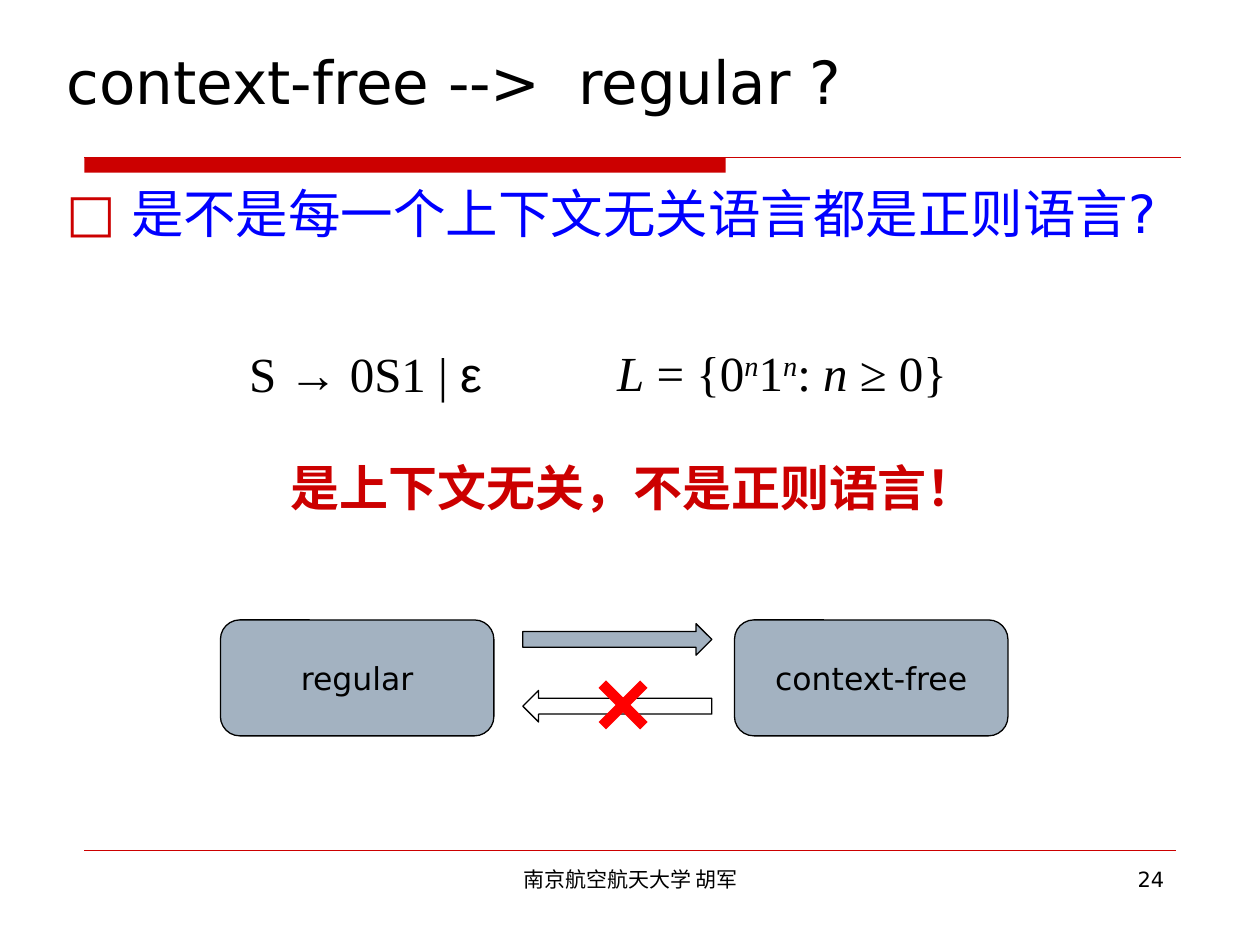
"""Build a slide asking whether every context-free language is regular."""
from lxml.etree import SubElement
from pptx import Presentation
from pptx.dml.color import RGBColor
from pptx.enum.shapes import MSO_CONNECTOR, MSO_SHAPE
from pptx.enum.text import MSO_ANCHOR, MSO_AUTO_SIZE, PP_ALIGN
from pptx.oxml.ns import qn
from pptx.util import Inches, Pt

COLORS = {"black": "000000", "red": "CC0000", "blue": "0000FF", "cross": "FF0000", "steel": "A3B2C1"}
SANS, SERIF = "DejaVu Sans", "Times New Roman"


class SlideBuilder:
    def __init__(self, page):
        self.page = page
        self.style = {"name": SANS, "size": Pt(18), "color": "black"}

    def color(self, name):
        return RGBColor.from_string(COLORS[name])

    def place(self, box, left, top, width, height):
        for name, value in zip(("left", "top", "width", "height"), (left, top, width, height)):
            setattr(box, name, Inches(value))

    def fill_text(self, box, spans, align=PP_ALIGN.LEFT, anchor=MSO_ANCHOR.TOP, wrap=True, **format_values):
        frame = box.text_frame
        frame.auto_size = MSO_AUTO_SIZE.NONE
        frame.word_wrap = wrap
        frame.vertical_anchor = anchor
        para = frame.paragraphs[0]
        para.alignment = align
        para.space_before = Pt(0)
        for text, changes in spans:
            values = {**self.style, **format_values, **changes}
            span = para.add_run()
            span.text = text
            span.font.color.rgb = self.color(values.pop("color"))
            baseline = values.pop("baseline", None)
            for name, value in values.items():
                setattr(span.font, name, value)
            if baseline:
                span.font._element.set("baseline", str(baseline))

    def title(self, text, area):
        box = self.page.shapes.title
        self.place(box, *area)
        self.fill_text(box, [(text, {})], anchor=MSO_ANCHOR.MIDDLE, size=Pt(34))

    def bullet(self, text, area, indent):
        box = self.page.placeholders[1]
        self.place(box, *area)
        properties = box.text_frame.paragraphs[0]._p.get_or_add_pPr()
        properties.set("marL", str(Inches(indent)))
        properties.set("indent", str(-Inches(indent)))
        bullet_color = SubElement(properties, qn("a:buClr"))
        SubElement(bullet_color, qn("a:srgbClr"), val=COLORS["red"])
        SubElement(properties, qn("a:buFont"), typeface=SANS)
        SubElement(properties, qn("a:buChar"), char="□")
        self.fill_text(box, [(text, {})], size=Pt(30), color="blue")

    def text(self, spans, area, **options):
        box = self.page.shapes.add_textbox(*map(Inches, area))
        self.fill_text(box, spans, **options)

    def shape(self, kind, area, fill=None, line="black", label=None):
        box = self.page.shapes.add_shape(kind, *map(Inches, area))
        box.shadow.inherit = False
        for paint, name in ((box.fill, fill), (box.line.fill, line)):
            if name:
                paint.solid()
                paint.fore_color.rgb = self.color(name)
            else:
                paint.background()
        box.line.width = Pt(0.75)
        if label:
            self.fill_text(box, [(label, {})], PP_ALIGN.CENTER, MSO_ANCHOR.MIDDLE, False)

    def line(self, start, end, color, width):
        line = self.page.shapes.add_connector(MSO_CONNECTOR.STRAIGHT, *map(Inches, start + end))
        line.line.color.rgb = self.color(color)
        line.line.width = Pt(width)
        SubElement(line._element.spPr, qn("a:effectLst"))


def main():
    deck = Presentation()
    deck.slide_width, deck.slide_height = Inches(10), Inches(7.5)
    builder = SlideBuilder(deck.slides.add_slide(deck.slide_layouts[1]))

    builder.shape(MSO_SHAPE.RECTANGLE, (0.67, 1.25, 5.09, 0.12), "red", None)
    builder.line((0.67, 1.25), (9.37, 1.25), "red", 0.75)
    builder.line((0.67, 6.75), (9.33, 6.75), "red", 0.25)
    builder.title("context-free -->  regular ?", (0.43, 0.28, 9.14, 0.72))
    builder.bullet("是不是每一个上下文无关语言都是正则语言?", (0.43, 1.39, 9.14, 0.61), 0.51)

    italic = {"italic": True}
    power = {"italic": True, "baseline": 30000}
    grammar = [("S → 0S1 | ", {}), ("ε", {"name": "Arial"})]
    language = [("L", italic), (" = {0", {}), ("n", power), ("1", {}), ("n", power),
                (": ", {}), ("n", italic), (" ≥ 0}", {})]
    formula = {"wrap": False, "name": SERIF, "size": Pt(28)}
    builder.text(grammar, (1.88, 2.68, 2.17, 0.57), **formula)
    builder.text(language, (4.8, 2.67, 3.08, 0.57), **formula)
    builder.text([("是上下文无关，不是正则语言！", {})], (2.21, 3.58, 5.63, 0.57),
                 wrap=False, size=Pt(28), color="red", bold=True)

    for left, label in ((1.75, "regular"), (5.83, "context-free")):
        builder.shape(MSO_SHAPE.ROUNDED_RECTANGLE, (left, 4.92, 2.17, 0.92), "steel", label=label)
    builder.shape(MSO_SHAPE.RIGHT_ARROW, (4.15, 4.95, 1.5, 0.25), "steel")
    builder.shape(MSO_SHAPE.LEFT_ARROW, (4.15, 5.48, 1.5, 0.25))
    for start, end in ((4.78, 5.11), (5.11, 4.78)):
        builder.line((start, 5.43), (end, 5.76), "cross", 6)

    builder.text([("南京航空航天大学 胡军", {})], (3.42, 6.83, 3.17, 0.52),
                 align=PP_ALIGN.CENTER, size=Pt(12))
    builder.text([("24", {})], (7.17, 6.83, 2.17, 0.52), align=PP_ALIGN.RIGHT, size=Pt(12))
    deck.save("out.pptx")


if __name__ == "__main__":
    main()
